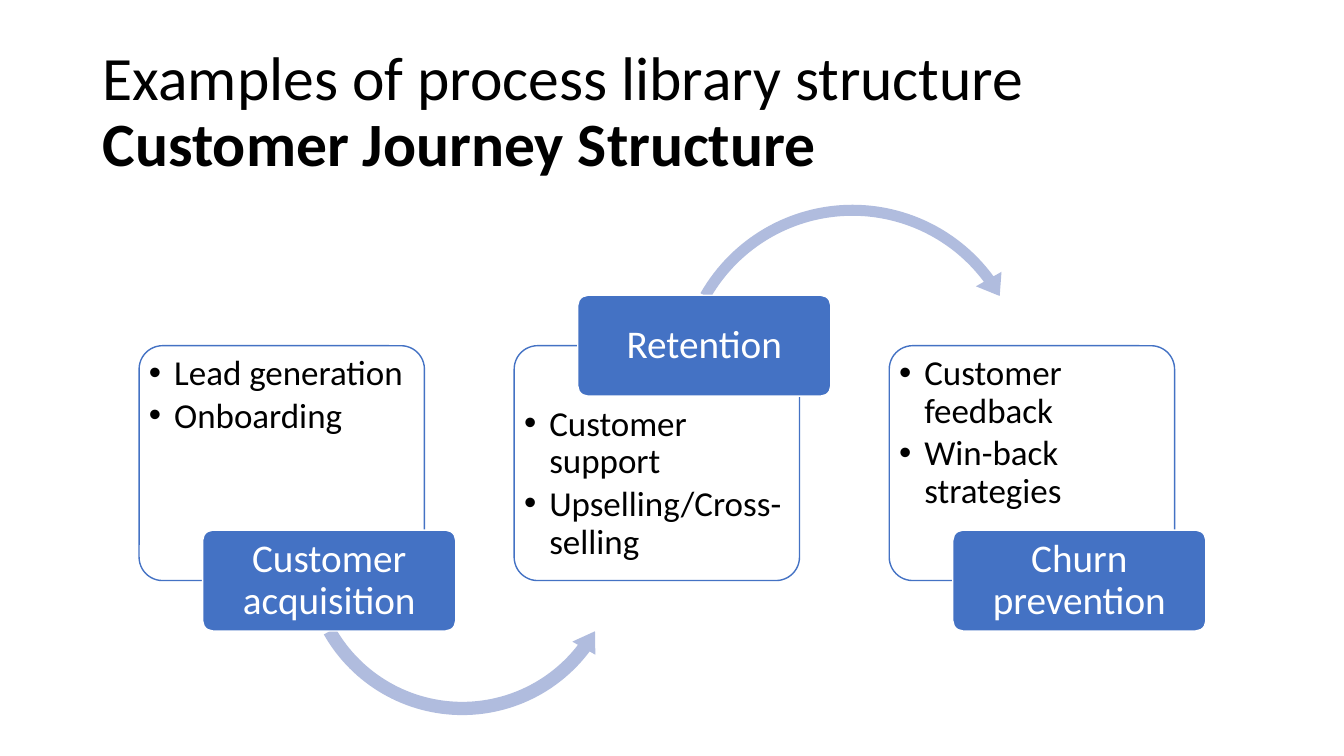
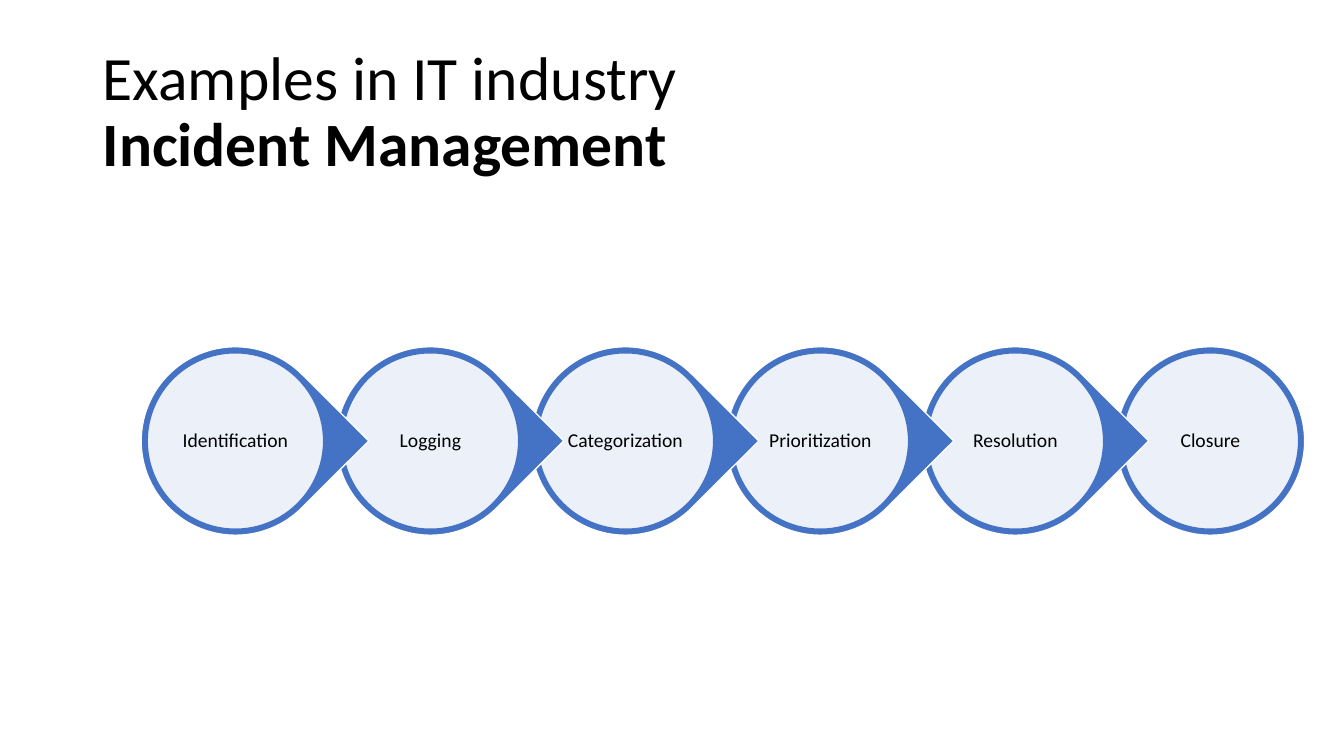
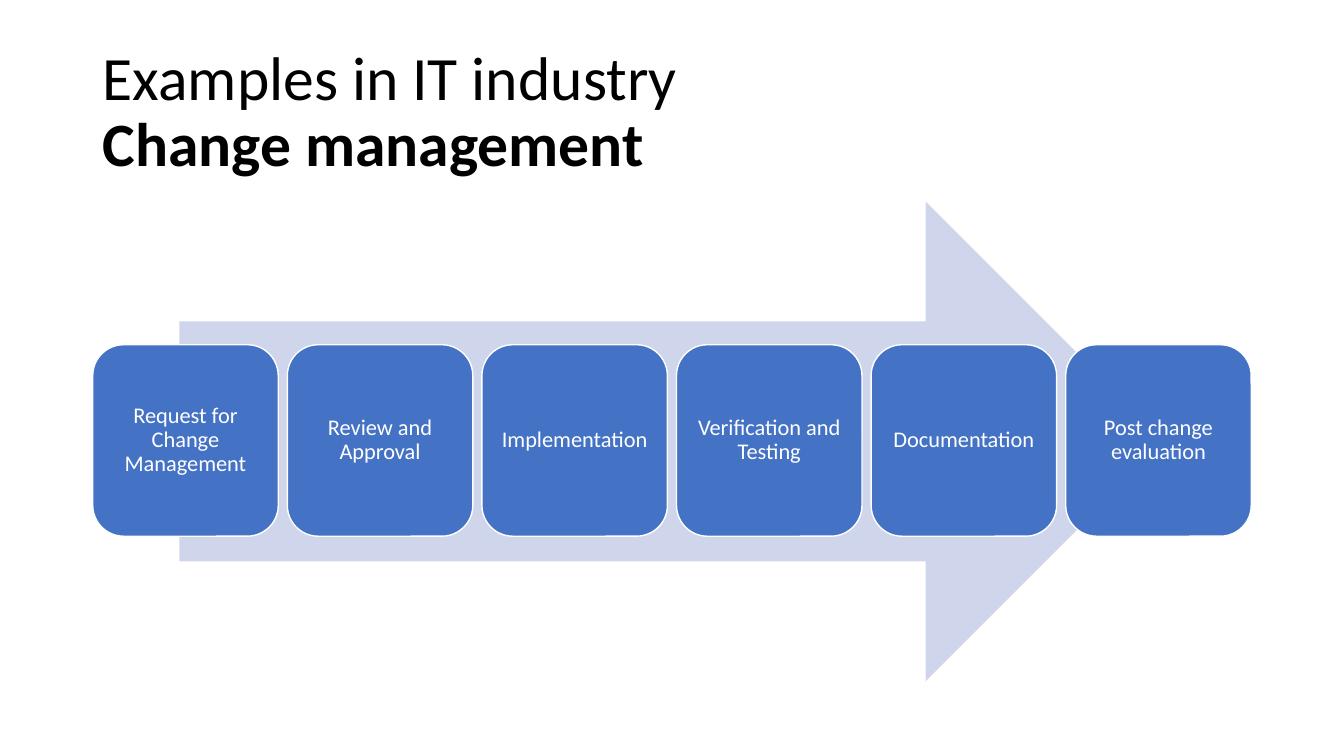
from dataclasses import dataclass

from lxml.etree import SubElement as Sub
from pptx import Presentation as Deck
from pptx.dml.color import RGBColor as Rgb
from pptx.enum.shapes import MSO_SHAPE as Kind
from pptx.enum.text import MSO_ANCHOR as Anchor, PP_ALIGN as Align
from pptx.oxml.ns import qn
from pptx.shapes.autoshape import Shape
from pptx.slide import Slide
from pptx.text.text import TextFrame as Frame, _Paragraph as Para
from pptx.util import Inches, Pt


@dataclass(frozen=True)
class Theme:
    """Colours, font and type sizes shared by all slides."""
    font: str = "Calibri"
    ink: str = "000000"
    paper: str = "FFFFFF"
    blue: str = "4472C4"
    curve: str = "B0BCDE"
    pale: str = "CFD5EA"
    title: float = 44
    chip: float = 28
    list: float = 25
    tile: float = 16
    ring: float = 14
    leading: float = 0.9
    after: float = 3.3


@dataclass(frozen=True)
class Box:
    """A place on the slide, in inches."""
    left: float
    top: float
    width: float
    height: float


@dataclass(frozen=True)
class Stage:
    """A stage of the journey: its name, its points, and the name's side."""
    name: str
    points: tuple[str, ...]
    on_top: bool = False


@dataclass(frozen=True)
class Arc:
    """A curved arrow from one stage to the next."""
    kind: Kind
    box: Box
    bends: tuple[float, ...]


THEME = Theme()

STAGES = (
    Stage("Customer acquisition", ("Lead generation", "Onboarding")),
    Stage("Retention", ("Customer support", "Upselling/Cross-selling"), True),
    Stage("Churn prevention", ("Customer feedback", "Win-back strategies")),
)
ARCS = (
    Arc(Kind.LEFT_CIRCULAR_ARROW, Box(2.94, 3.87, 3.29, 3.29),
        (0.04, 4.57, 22.33, 90.25, 0.04)),
    Arc(Kind.CIRCULAR_ARROW, Box(6.63, 1.94, 3.65, 3.65),
        (0.03, 4.09, 194.16, 125.76, 0.04)),
)
RINGS = ("Identification", "Logging", "Categorization",
         "Prioritization", "Resolution", "Closure")
TILES = ("Request for Change Management", "Review and Approval",
         "Implementation", "Verification and Testing",
         "Documentation", "Post change evaluation")


def add_run(para: Para, text: str, size: float, color: str,
            bold: bool = False) -> None:
    """Add one styled run."""
    run = para.add_run()
    run.text = text
    run.font.name = THEME.font
    run.font.size = Pt(size)
    run.font.bold = bold
    run.font.color.rgb = Rgb.from_string(color)


def set_frame(frame: Frame, anchor: Anchor, *pads: float) -> None:
    """Wrap the text, anchor it, and set left, top, right, bottom insets."""
    frame.word_wrap = True
    frame.vertical_anchor = anchor
    (frame.margin_left, frame.margin_top,
     frame.margin_right, frame.margin_bottom) = map(Inches, pads)


def add_form(slide: Slide, kind: Kind, box: Box, fill: str,
             line: str | None = None, bends: tuple[float, ...] = (),
             alpha: int = 100) -> Shape:
    """Add a flat preset shape."""
    form = slide.shapes.add_shape(kind, Inches(box.left), Inches(box.top),
                                  Inches(box.width), Inches(box.height))
    form.shadow.inherit = False
    form.fill.solid()
    form.fill.fore_color.rgb = Rgb.from_string(fill)
    if alpha < 100:
        tint = form.element.spPr.find(".//" + qn("a:srgbClr"))
        Sub(tint, qn("a:alpha"), val=str(alpha * 1000))
    if line:
        form.line.color.rgb = Rgb.from_string(line)
        form.line.width = Pt(1)
    else:
        form.line.fill.background()
    for spot, bend in enumerate(bends):
        form.adjustments[spot] = bend
    return form


def add_label(form: Shape, text: str, size: float, color: str,
              side: float, edge: float) -> None:
    """Centre a text inside a shape."""
    set_frame(form.text_frame, Anchor.MIDDLE, side, edge, side, edge)
    para = form.text_frame.paragraphs[0]
    para.alignment = Align.CENTER
    para.line_spacing = THEME.leading
    add_run(para, text, size, color)


def add_list(form: Shape, points: tuple[str, ...], top: float) -> None:
    """Fill a shape with a bullet list that starts below the given inset."""
    frame = form.text_frame
    set_frame(frame, Anchor.TOP, 0.03, top, 0.04, 0)
    for spot, point in enumerate(points):
        para = frame.add_paragraph() if spot else frame.paragraphs[0]
        para.alignment = Align.LEFT
        para.line_spacing = THEME.leading
        para.space_after = Pt(THEME.after)
        props = para._p.get_or_add_pPr()
        props.set("marL", str(Inches(0.25)))
        props.set("indent", str(Inches(-0.25)))
        Sub(props, qn("a:buFont"), typeface="Arial")
        Sub(props, qn("a:buChar"), char="\u2022")
        add_run(para, point, THEME.list, THEME.ink)


def add_slide(deck: Deck, head: str, topic: str) -> Slide:
    """Add a blank slide with the two-line title."""
    slide = deck.slides.add_slide(deck.slide_layouts[6])
    box = slide.shapes.add_textbox(Inches(0.92), Inches(0.4),
                                   Inches(11.5), Inches(1.45))
    set_frame(box.text_frame, Anchor.MIDDLE, 0.1, 0.05, 0.1, 0.05)
    para = box.text_frame.paragraphs[0]
    para.line_spacing = THEME.leading
    add_run(para, head, THEME.title, THEME.ink)
    para.add_line_break()
    add_run(para, topic, THEME.title, THEME.ink, bold=True)
    return slide


def draw_stages(slide: Slide) -> None:
    """Draw the journey panels, their name chips and the arcs between."""
    for spot, stage in enumerate(STAGES):
        left = 1.38 + 3.72 * spot
        panel = add_form(slide, Kind.ROUNDED_RECTANGLE,
                         Box(left, 3.43, 2.83, 2.33), THEME.paper,
                         THEME.blue, (0.1,), alpha=90)
        add_list(panel, stage.points, 0.53 if stage.on_top else 0.03)
        if spot < len(ARCS):
            arc = ARCS[spot]
            add_form(slide, arc.kind, arc.box, THEME.curve, bends=arc.bends)
        chip = add_form(slide, Kind.ROUNDED_RECTANGLE,
                        Box(left + 0.63, 2.93 if stage.on_top else 5.26,
                            2.51, 1),
                        THEME.blue, THEME.paper, (0.1,))
        add_label(chip, stage.name, THEME.chip, THEME.paper, 0.06, 0.04)


def draw_rings(slide: Slide) -> None:
    """Draw the chain of discs from last to first, each drop over the next."""
    first, last = 1.4, 11.07
    end = len(RINGS) - 1
    for spot in range(end, -1, -1):
        left = first + (last - first) * spot / end
        box = Box(left, 3.44, 1.87, 1.87)
        if spot == end:
            add_form(slide, Kind.OVAL, box, THEME.blue, THEME.paper)
        else:
            drop = add_form(slide, Kind.TEAR, box, THEME.blue,
                            THEME.paper, (1,))
            drop.rotation = 45
        disc = add_form(slide, Kind.OVAL, Box(left + 0.06, 3.5, 1.75, 1.75),
                        THEME.paper, THEME.blue, alpha=90)
        add_label(disc, RINGS[spot], THEME.ring, THEME.ink, 0.02, 0.02)


def draw_tiles(slide: Slide) -> None:
    """Draw the wide arrow and the row of step tiles on it."""
    add_form(slide, Kind.RIGHT_ARROW, Box(1.78, 2, 9.78, 4.76), THEME.pale)
    for spot, step in enumerate(TILES):
        tile = add_form(slide, Kind.ROUNDED_RECTANGLE,
                        Box(0.92 + 1.93 * spot, 3.42, 1.84, 1.9),
                        THEME.blue, THEME.paper)
        add_label(tile, step, THEME.tile, THEME.paper, 0.07, 0.07)


def main() -> None:
    """Build and save the deck."""
    deck = Deck()
    deck.slide_width, deck.slide_height = Inches(13.33), Inches(7.5)
    draw_stages(add_slide(deck, "Examples of process library structure",
                          "Customer Journey Structure"))
    draw_rings(add_slide(deck, "Examples in IT industry",
                         "Incident Management"))
    draw_tiles(add_slide(deck, "Examples in IT industry",
                         "Change management"))
    deck.save("out.pptx")


main()
